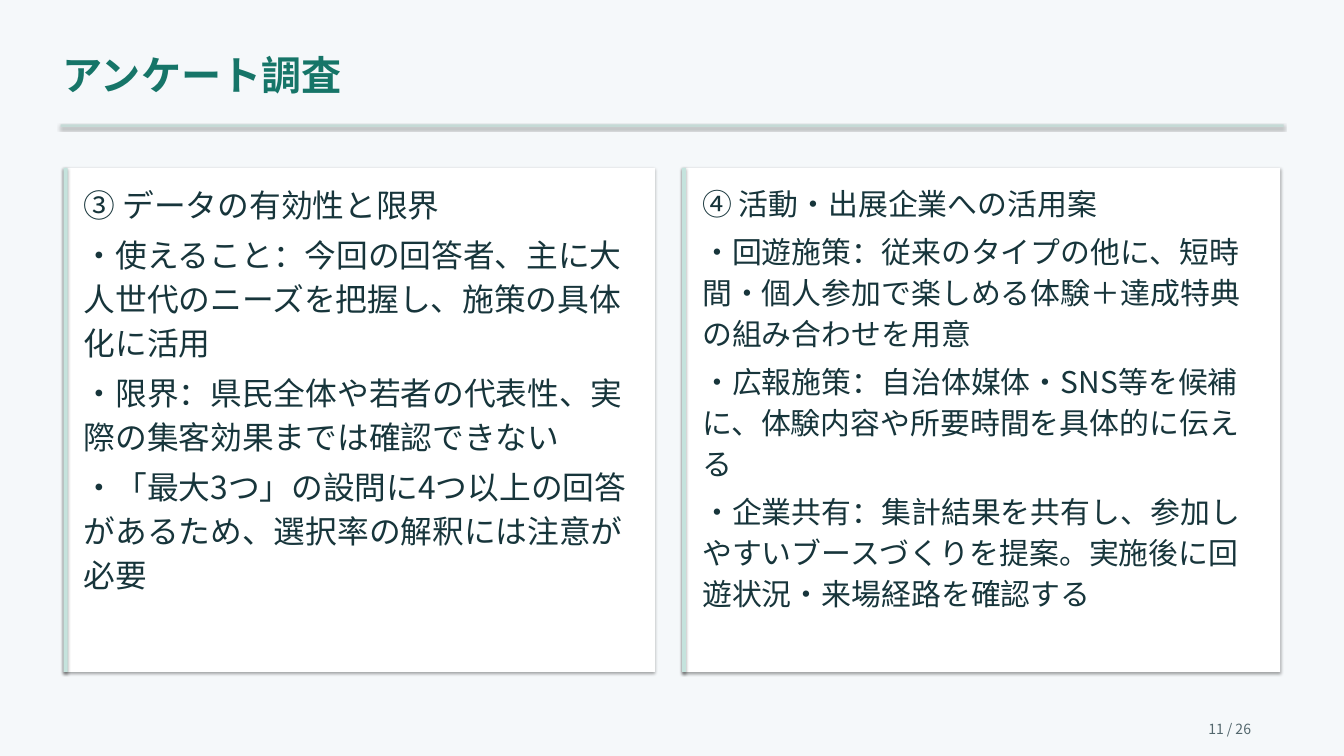
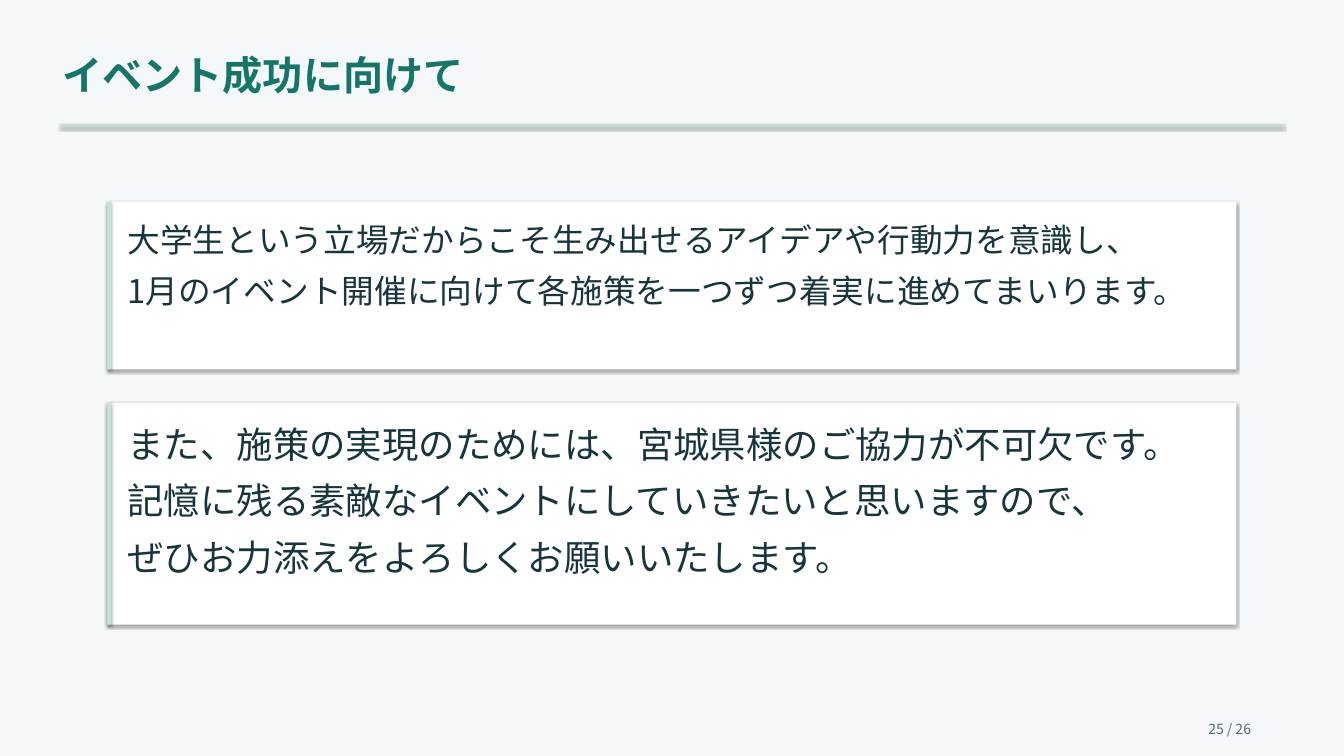
from lxml.etree import SubElement
from pptx import Presentation
from pptx.dml.color import RGBColor
from pptx.enum.shapes import MSO_SHAPE
from pptx.enum.text import MSO_ANCHOR, MSO_AUTO_SIZE, PP_ALIGN
from pptx.oxml.ns import qn
from pptx.util import Cm, Pt

COLORS = {
    "background": "F5F8FA",
    "title": "167568",
    "rule": "C5DAD6",
    "card": "FFFFFF",
    "accent": "C5E3DD",
    "body": "17353B",
    "page": "53676D",
}
FONT = "Noto Sans CJK JP"
PAGE_COUNT = 26


class Deck:
    def __init__(self):
        self.presentation = Presentation()
        self.presentation.slide_width = Cm(50.8)
        self.presentation.slide_height = Cm(28.58)
        fill = self.presentation.slide_master.background.fill
        fill.solid()
        fill.fore_color.rgb = self.color("background")
        self.slide = None

    def color(self, name):
        return RGBColor.from_string(COLORS[name])

    def add_slide(self, title, page):
        layout = self.presentation.slide_layouts.get_by_name("Title Only")
        self.slide = self.presentation.slides.add_slide(layout)
        heading = self.slide.shapes.title
        heading.left, heading.top = Cm(2.16), Cm(1.52)
        heading.width, heading.height = Cm(46.48), Cm(2.54)
        self.set_lines(heading.text_frame, [title], 43, "title", bold=True)
        self.bar(2.29, 4.7, 46.23, 0.1, "rule")
        self.text(45.47, 27.05, 3.05, 0.76, [f"{page} / {PAGE_COUNT}"], 15, "page")

    def bar(self, left, top, width, height, color):
        shape = self.slide.shapes.add_shape(
            MSO_SHAPE.RECTANGLE, Cm(left), Cm(top), Cm(width), Cm(height)
        )
        shape.fill.solid()
        shape.fill.fore_color.rgb = self.color(color)
        shape.line.fill.background()

    def text(self, left, top, width, height, lines, size, color):
        box = self.slide.shapes.add_textbox(Cm(left), Cm(top), Cm(width), Cm(height))
        self.set_lines(box.text_frame, lines, size, color)

    def set_lines(self, frame, lines, size, color, bold=False):
        frame.word_wrap = True
        frame.auto_size = MSO_AUTO_SIZE.SHAPE_TO_FIT_TEXT
        frame.vertical_anchor = MSO_ANCHOR.TOP
        frame.margin_left = frame.margin_right = Cm(0.2)
        frame.margin_top = frame.margin_bottom = Cm(0.1)
        for index, line in enumerate(lines):
            paragraph = frame.add_paragraph() if index else frame.paragraphs[0]
            paragraph.alignment = PP_ALIGN.LEFT
            paragraph.line_spacing = 1.15
            paragraph.space_after = Pt(7)
            run = paragraph.add_run()
            run.text = line
            run.font.size = Pt(size)
            run.font.bold = bold
            run.font.color.rgb = self.color(color)
            run.font.name = FONT
            SubElement(run.font._element, qn("a:ea"), typeface=FONT)

    def card(self, left, top, width, height, size, lines):
        self.bar(left, top, width, height, "card")
        self.bar(left, top, 0.15, height, "accent")
        inset_x, inset_y = 0.56, 0.36
        self.text(left + inset_x, top + inset_y, width - 2 * inset_x,
                  height - 2 * inset_y, lines, size, "body")


def main():
    deck = Deck()

    deck.add_slide("アンケート調査", 11)
    deck.card(2.41, 6.35, 22.35, 19.05, 34, [
        "③ データの有効性と限界",
        "・使えること：今回の回答者、主に大人世代のニーズを把握し、施策の具体化に活用",
        "・限界：県民全体や若者の代表性、実際の集客効果までは確認できない",
        "・「最大3つ」の設問に4つ以上の回答があるため、選択率の解釈には注意が必要",
    ])
    deck.card(25.78, 6.35, 22.61, 19.05, 32, [
        "④ 活動・出展企業への活用案",
        "・回遊施策：従来のタイプの他に、短時間・個人参加で楽しめる体験＋達成特典の組み合わせを用意",
        "・広報施策：自治体媒体・SNS等を候補に、体験内容や所要時間を具体的に伝える",
        "・企業共有：集計結果を共有し、参加しやすいブースづくりを提案。実施後に回遊状況・来場経路を確認する",
    ])

    deck.add_slide("イベント成功に向けて", 25)
    deck.card(4.06, 7.62, 42.67, 6.35, 35, [
        "大学生という立場だからこそ生み出せるアイデアや行動力を意識し、",
        "1月のイベント開催に向けて各施策を一つずつ着実に進めてまいります。",
    ])
    deck.card(4.06, 15.24, 42.67, 8.38, 39, [
        "また、施策の実現のためには、宮城県様のご協力が不可欠です。",
        "記憶に残る素敵なイベントにしていきたいと思いますので、",
        "ぜひお力添えをよろしくお願いいたします。",
    ])

    deck.presentation.save("out.pptx")


if __name__ == "__main__":
    main()
